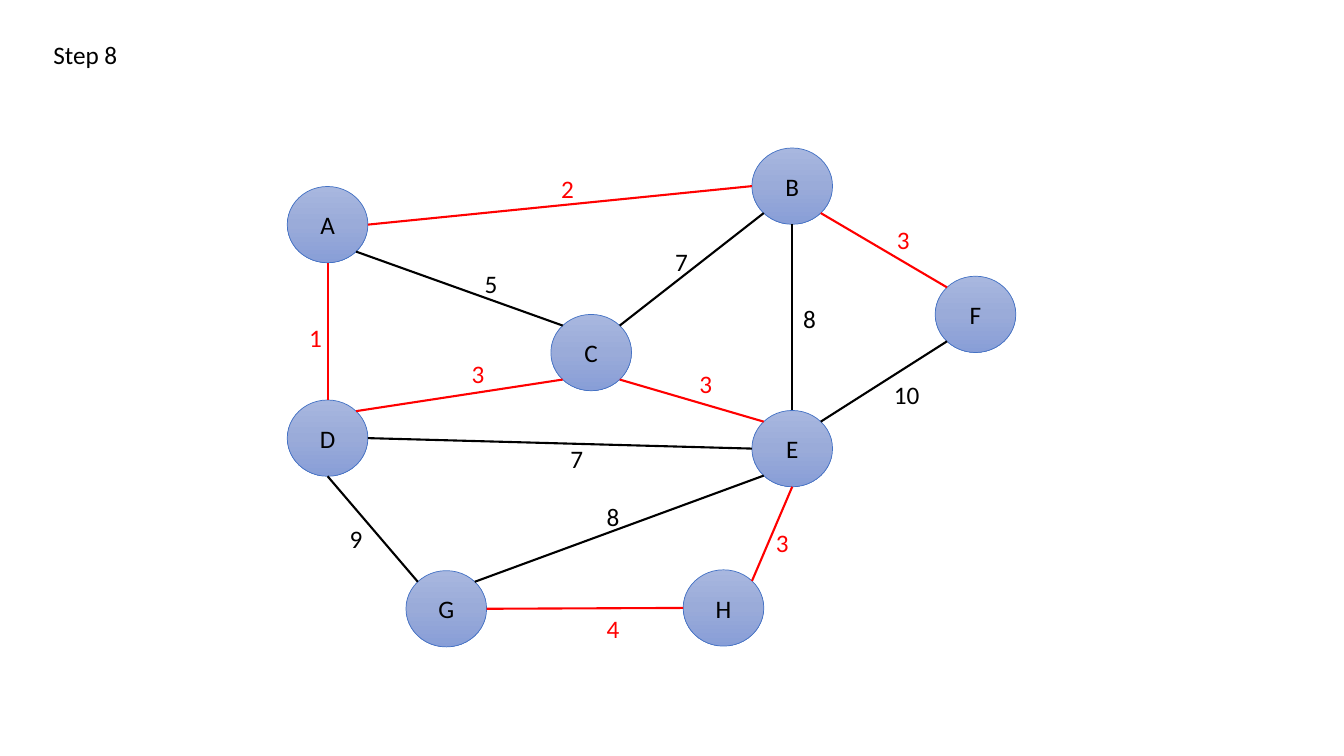
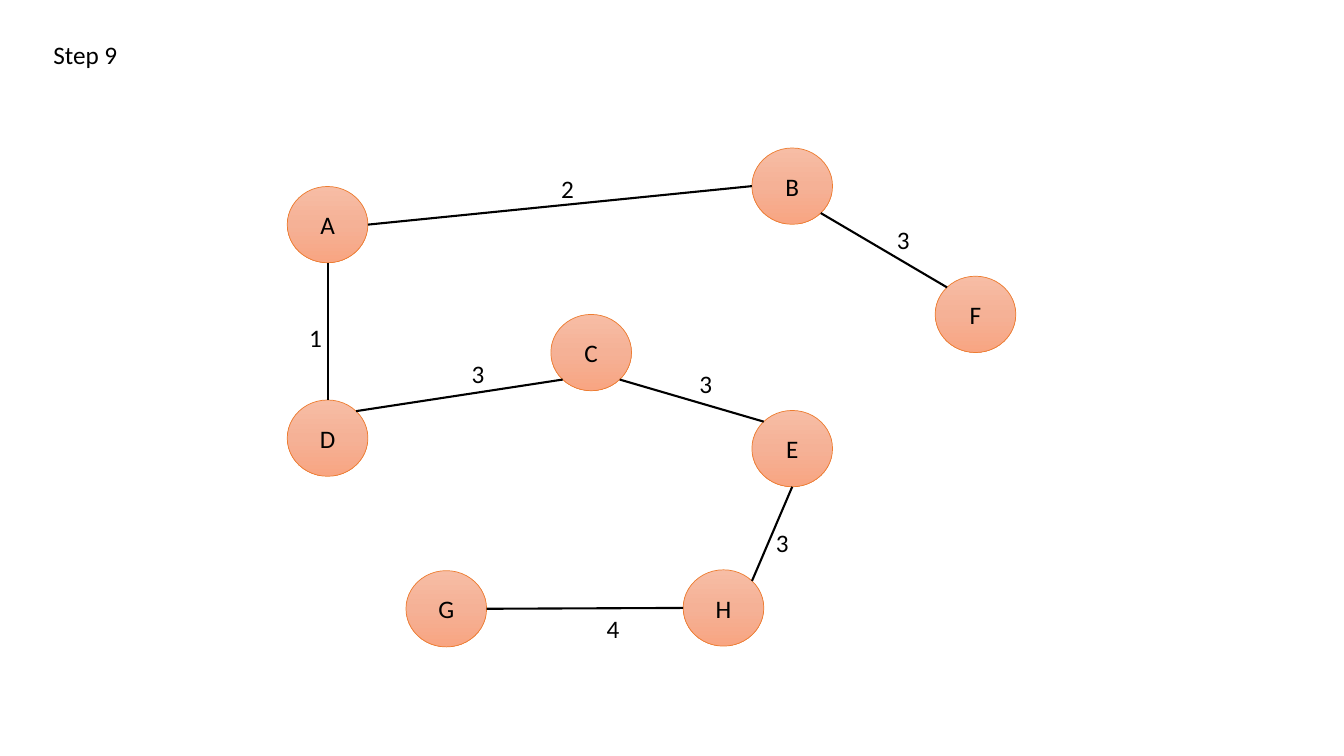
from copy import deepcopy
from dataclasses import dataclass
from math import cos, pi, sin

from lxml import etree
from pptx import Presentation
from pptx.dml.color import RGBColor
from pptx.enum.shapes import MSO_CONNECTOR, MSO_SHAPE
from pptx.enum.text import MSO_ANCHOR, MSO_AUTO_SIZE, PP_ALIGN
from pptx.oxml.ns import qn
from pptx.util import Pt

ELLIPSE = MSO_SHAPE.OVAL
STRAIGHT = MSO_CONNECTOR.STRAIGHT
MIDDLE = MSO_ANCHOR.MIDDLE
CENTER = PP_ALIGN.CENTER
FIT_SHAPE = MSO_AUTO_SIZE.SHAPE_TO_FIT_TEXT
TOP, TOP_LEFT, LEFT, BOTTOM_LEFT, BOTTOM, BOTTOM_RIGHT, RIGHT, TOP_RIGHT = range(8)


@dataclass(frozen=True)
class Theme:
    font: str = "Calibri"
    text_size: float = 18
    text: str = "000000"
    highlight: str = "FF0000"
    edge_width: float = 1.5
    outline_width: float = 0.5
    node_width: float = 57.6
    node_height: float = 54.5
    label_height: float = 29.1
    blue: tuple = ("A8B7DF", "9AABD9", "889ED7")
    blue_outline: str = "4472C4"
    orange: tuple = ("F7BDA5", "F5B196", "F8A582")
    orange_outline: str = "ED7D31"


NODES = {
    "A": (205.2, 133.2),
    "B": (537.1, 105.7),
    "C": (393.5, 224.6),
    "D": (205.2, 285.7),
    "G": (290, 407.6),
    "F": (668, 197.3),
    "H": (488, 407),
    "E": (537.1, 293.2),
}

EDGES = [
    ("A", RIGHT, "B", LEFT, "2", (393.8, 120.2), True),
    ("A", BOTTOM, "D", TOP, "1", (213.8, 226.8), True),
    ("D", BOTTOM, "G", TOP_LEFT, "9", (242.6, 370.1), False),
    ("A", BOTTOM_RIGHT, "C", TOP_LEFT, "5", (339.1, 187.9), False),
    ("C", TOP_RIGHT, "B", BOTTOM_LEFT, "7", (475.2, 172.1), False),
    ("B", BOTTOM, "E", TOP, "8", (566.6, 213.1), False),
    ("B", BOTTOM_RIGHT, "F", TOP_LEFT, "3", (633.6, 157), True),
    ("F", BOTTOM_LEFT, "E", TOP_RIGHT, "10", (631.4, 267.1), False),
    ("D", TOP_RIGHT, "C", BOTTOM_LEFT, "3", (329.8, 252.7), True),
    ("D", RIGHT, "E", LEFT, "7", (400.3, 313.2), False),
    ("C", BOTTOM_RIGHT, "E", TOP_LEFT, "3", (492.5, 259.2), True),
    ("G", TOP_RIGHT, "E", BOTTOM_LEFT, "8", (426.2, 354.2), False),
    ("G", RIGHT, "H", LEFT, "4", (426.2, 434.2), True),
    ("E", BOTTOM, "H", TOP_RIGHT, "3", (547.2, 373), True),
]


class GraphDeck:
    def __init__(self, theme):
        self.theme = theme
        self.presentation = Presentation()
        self.presentation.slide_width = Pt(960)
        self.presentation.slide_height = Pt(540)
        self.slide = None

    def add_slide(self, title):
        layout = self.presentation.slide_layouts[6]
        self.slide = self.presentation.slides.add_slide(layout)
        self.label(title, 31, 24.5, 60.5, self.theme.text)

    def set_text(self, text_frame, text, color):
        text_frame.text = text
        font = text_frame.paragraphs[0].runs[0].font
        font.name = self.theme.font
        font.size = Pt(self.theme.text_size)
        font.color.rgb = RGBColor.from_string(color)

    def label(self, text, left, top, width, color):
        box = self.slide.shapes.add_textbox(
            Pt(left), Pt(top), Pt(width), Pt(self.theme.label_height)
        )
        box.text_frame.word_wrap = False
        box.text_frame.auto_size = FIT_SHAPE
        self.set_text(box.text_frame, text, color)

    def node(self, name, gradient, outline):
        left, top = NODES[name]
        theme = self.theme
        shape = self.slide.shapes.add_shape(
            ELLIPSE, Pt(left), Pt(top), Pt(theme.node_width), Pt(theme.node_height)
        )
        shape.shadow.inherit = False
        shape.fill.gradient()
        shape.fill.gradient_angle = 270
        stop_list = next(shape.element.iter(qn("a:gsLst")))
        stop_list.insert(1, deepcopy(stop_list[0]))
        stops = zip(shape.fill.gradient_stops, (0, 0.5, 1), gradient)
        for stop, position, color in stops:
            stop.position = position
            stop.color.rgb = RGBColor.from_string(color)
        shape.line.color.rgb = RGBColor.from_string(outline)
        shape.line.width = Pt(theme.outline_width)
        shape.text_frame.vertical_anchor = MIDDLE
        self.set_text(shape.text_frame, name, theme.text)
        shape.text_frame.paragraphs[0].alignment = CENTER
        return shape

    def site_point(self, name, site):
        left, top = NODES[name]
        angle = site * pi / 4
        x = left + self.theme.node_width / 2 * (1 - sin(angle))
        y = top + self.theme.node_height / 2 * (1 - cos(angle))
        return Pt(x), Pt(y)

    def edge(self, shapes, start, start_site, end, end_site, color):
        connector = self.slide.shapes.add_connector(
            STRAIGHT,
            *self.site_point(start, start_site),
            *self.site_point(end, end_site),
        )
        connector.line.color.rgb = RGBColor.from_string(color)
        connector.line.width = Pt(self.theme.edge_width)
        properties = connector.element.find(qn("p:spPr"))
        etree.SubElement(properties, qn("a:effectLst"))
        connection = next(connector.element.iter(qn("p:cNvCxnSpPr")))
        for tag, name, site in (
            ("a:stCxn", start, start_site),
            ("a:endCxn", end, end_site),
        ):
            joint = etree.SubElement(connection, qn(tag))
            joint.set("id", str(shapes[name].shape_id))
            joint.set("idx", str(site))

    def graph(self, edges, gradient, outline, tree_color):
        shapes = {name: self.node(name, gradient, outline) for name in NODES}
        for start, start_site, end, end_site, *_, in_tree in edges:
            color = tree_color if in_tree else self.theme.text
            self.edge(shapes, start, start_site, end, end_site, color)
        for *_, weight, (left, top), in_tree in edges:
            color = tree_color if in_tree else self.theme.text
            width = 14.4 + 9.2 * len(weight)
            self.label(weight, left, top, width, color)


theme = Theme()
deck = GraphDeck(theme)

deck.add_slide("Step 8")
deck.graph(EDGES, theme.blue, theme.blue_outline, theme.highlight)

deck.add_slide("Step 9")
tree_edges = [edge for edge in EDGES if edge[-1]]
deck.graph(tree_edges, theme.orange, theme.orange_outline, theme.text)

deck.presentation.save("out.pptx")
